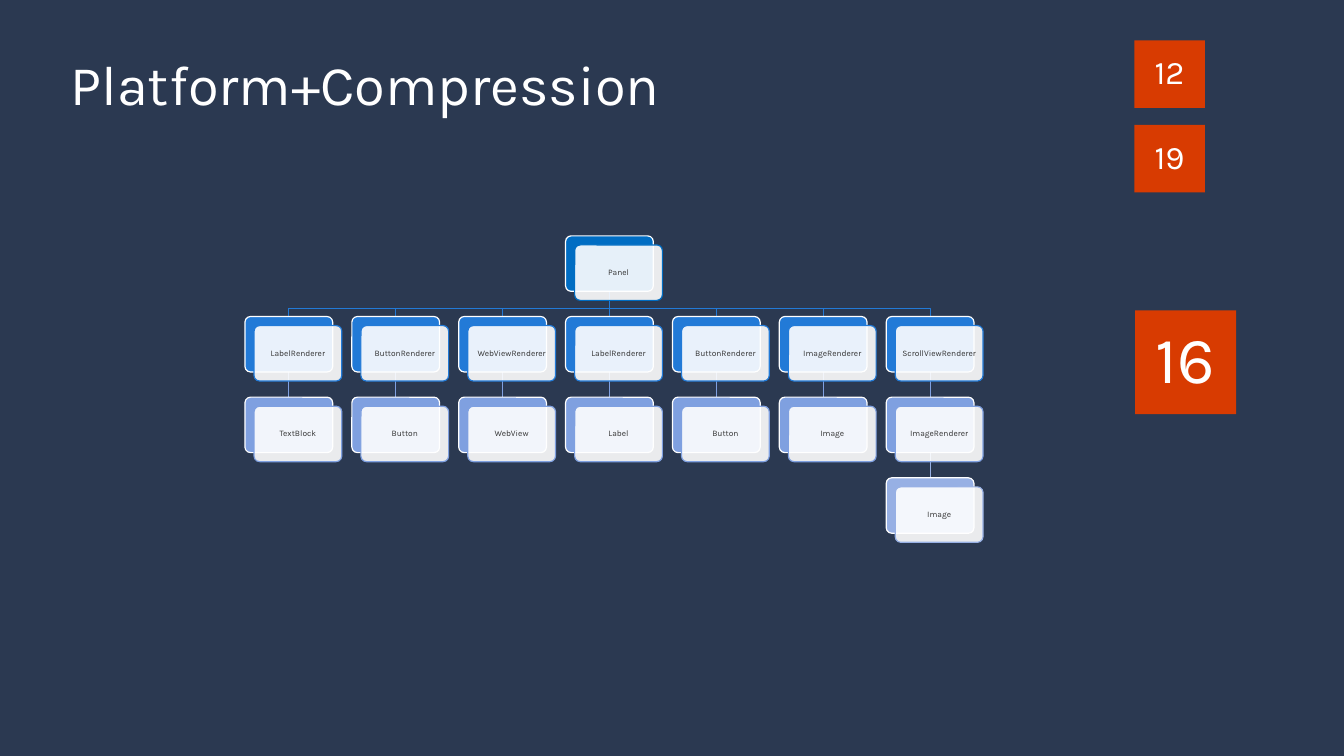
from lxml import etree
from pptx import Presentation
from pptx import util as u
from pptx.dml.color import RGBColor
from pptx.enum import shapes, text
from pptx.oxml import ns

COLORS = {
    "background": "2B3951", "white": "FFFFFF", "label": "353535", "tile": "D83B01",
    "panel": "006DC3", "renderer": "227AD7", "control": "7FA0E0", "nested": "97B0E4",
}
LEVELS = ["panel", "renderer", "control", "nested"]
ROOT_COLUMN = 3
BRANCHES = [
    ["LabelRenderer", "TextBlock"],
    ["ButtonRenderer", "Button"],
    ["WebViewRenderer", "WebView"],
    ["LabelRenderer", "Label"],
    ["ButtonRenderer", "Button"],
    ["ImageRenderer", "Image"],
    ["ScrollViewRenderer", "ImageRenderer", "Image"],
]
TILES = [("16", 11.26, 3.08, 1, 1.03, 47), ("12", 11.25, 0.4, 0.7, 0.67, 23.5),
         ("19", 11.25, 1.24, 0.7, 0.67, 23.5)]


class TreeSlide:
    font = "Karla"
    left, top = 2.43, 2.34
    column_pitch, row_pitch = 1.06, 0.8
    card_width, card_height = 0.87, 0.55
    card_offset = 0.09
    line_width = 0.85

    def __init__(self, presentation):
        self.slide = presentation.slides.add_slide(presentation.slide_layouts[6])
        fill = self.slide.background.fill
        fill.solid()
        fill.fore_color.rgb = self.color("background")

    def color(self, name):
        return RGBColor.from_string(COLORS[name])

    def position(self, column, row):
        return self.left + column * self.column_pitch, self.top + row * self.row_pitch

    def outline(self, line, color):
        line.color.rgb = self.color(color)
        line.width = u.Pt(self.line_width)

    def label(self, shape, words, size, color, align, inset_x=0, inset_y=0, wrap=True):
        frame = shape.text_frame
        frame.text = words
        frame.word_wrap = wrap
        frame.vertical_anchor = text.MSO_ANCHOR.MIDDLE
        frame.margin_left = frame.margin_right = u.Inches(inset_x)
        frame.margin_top = frame.margin_bottom = u.Inches(inset_y)
        paragraph = frame.paragraphs[0]
        paragraph.alignment = align
        paragraph.line_spacing = 0.9
        font = paragraph.runs[0].font
        font.name, font.size = self.font, u.Pt(size)
        font.color.rgb = self.color(color)

    def box(self, preset, left, top, width, height, fill, line=None):
        shape = self.slide.shapes.add_shape(preset, *map(u.Inches, (left, top, width, height)))
        shape.shadow.inherit = False
        shape.fill.solid()
        shape.fill.fore_color.rgb = self.color(fill)
        if line:
            shape.adjustments[0] = 0.1
            self.outline(shape.line, line)
        else:
            shape.line.fill.background()
        return shape

    def title(self, words):
        shape = self.slide.shapes.add_textbox(*map(u.Inches, (0.7, 0.24, 12.3, 1.25)))
        self.label(shape, words, 40, "white", text.PP_ALIGN.LEFT)

    def tile(self, words, left, top, width, height, size):
        shape = self.box(shapes.MSO_SHAPE.RECTANGLE, left, top, width, height, "tile")
        self.label(shape, words, size, "white", text.PP_ALIGN.CENTER, 0.2, 0.16, False)

    def card(self, words, column, row):
        left, top = self.position(column, row)
        size = self.card_width, self.card_height
        rounded = shapes.MSO_SHAPE.ROUNDED_RECTANGLE
        self.box(rounded, left, top, *size, LEVELS[row], "white")
        front = self.box(rounded, left + self.card_offset, top + self.card_offset, *size,
                         "white", LEVELS[row])
        color = front._element.spPr.find(ns.qn("a:solidFill"))[0]
        etree.SubElement(color, ns.qn("a:alpha")).set("val", "90000")
        self.label(front, words, 6, "label", text.PP_ALIGN.CENTER, 0.03, 0.03)

    def link(self, column, row, parent_column):
        child_left, end = self.position(column, row)
        parent_left, parent_top = self.position(parent_column, row - 1)
        child_x = u.Inches(child_left + self.card_width / 2)
        parent_x = u.Inches(parent_left + self.card_width / 2)
        start, bend, end = map(u.Inches, (parent_top + self.card_height, end - 0.08, end))
        if column == parent_column:
            shape = self.slide.shapes.add_connector(
                shapes.MSO_CONNECTOR.STRAIGHT, parent_x, start, child_x, end)
            self.outline(shape.line, LEVELS[row])
            etree.SubElement(shape._element.spPr, ns.qn("a:effectLst"))
        else:
            builder = self.slide.shapes.build_freeform(parent_x, start)
            builder.add_line_segments(
                [(parent_x, bend), (child_x, bend), (child_x, end)], close=False)
            shape = builder.convert_to_shape()
            shape.shadow.inherit = False
            shape.fill.background()
            self.outline(shape.line, LEVELS[row])


def main():
    presentation = Presentation()
    presentation.slide_width, presentation.slide_height = u.Inches(13.33), u.Inches(7.5)
    tree = TreeSlide(presentation)
    nodes = [(name, column, row) for column, branch in enumerate(BRANCHES)
             for row, name in enumerate(branch, 1)]
    for name, column, row in nodes:
        tree.link(column, row, ROOT_COLUMN if row == 1 else column)
    tree.card("Panel", ROOT_COLUMN, 0)
    for node in nodes:
        tree.card(*node)
    tree.title("Platform+Compression")
    for tile in TILES:
        tree.tile(*tile)
    presentation.save("out.pptx")


if __name__ == "__main__":
    main()
